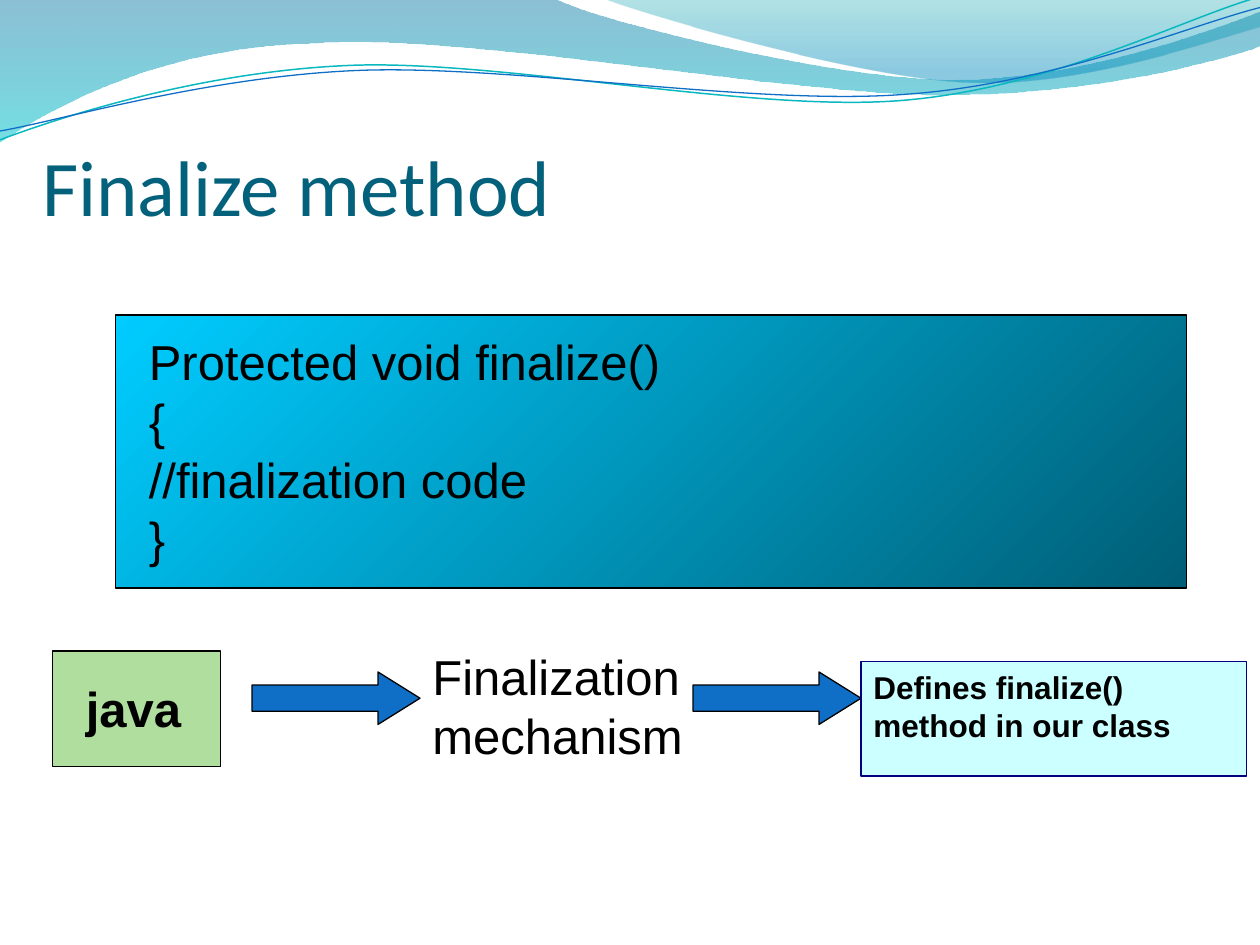
from collections import namedtuple

from lxml.etree import SubElement
from pptx import Presentation
from pptx.dml.color import RGBColor
from pptx.enum.shapes import MSO_SHAPE
from pptx.enum.text import MSO_ANCHOR, PP_ALIGN
from pptx.oxml.ns import qn
from pptx.util import Inches, Pt

SLIDE_WIDTH, SLIDE_HEIGHT = Inches(10), Inches(7.5)
COLUMN, ROW = SLIDE_WIDTH / 120, SLIDE_HEIGHT / 90

BLACK = RGBColor(0x00, 0x00, 0x00)
NAVY = RGBColor(0x00, 0x00, 0x80)
TITLE_TEAL = RGBColor(0x04, 0x61, 0x7B)
ARROW_BLUE = RGBColor(0x0F, 0x6F, 0xC6)
CURVE_TEAL = RGBColor(0x0A, 0xB8, 0xBF)
JAVA_GREEN = RGBColor(0xAF, 0xDE, 0x9E)
PALE_CYAN = RGBColor(0xCC, 0xFF, 0xFF)
CODE_CYAN = RGBColor(0x00, 0xCC, 0xFF)
CODE_DARK = RGBColor(0x00, 0x5E, 0x76)
WAVE_BLUE = RGBColor(0x00, 0x74, 0xA1)
WAVE_AQUA = RGBColor(0x00, 0xC6, 0xCF)
CREST_AQUA = RGBColor(0x00, 0xA1, 0xA9)
CREST_BLUE = RGBColor(0x00, 0x8B, 0xBF)

Box = namedtuple("Box", "column row columns rows")

LARGE_WAVE = [
    [(0, 0)], [(4.4, -0.01)],
    [(4.76, 0.17), (6.64, 0.63), (7.58, 0.63)],
    [(8.53, 0.63), (9.58, 0.26), (10, 0.09)],
    [(10.01, 0.36)],
    [(9.83, 0.44), (8.7, 0.76), (7.46, 0.75)],
    [(6.22, 0.75), (3.82, 0.28), (2.57, 0.34)],
    [(1.29, 0.36), (0.46, 0.83), (-0.01, 1.13)],
    [(0, 0)],
]
CREST = [
    [(4.79, -0.01)],
    [(5.09, 0.11), (6.82, 0.62), (7.69, 0.65)],
    [(8.56, 0.69), (9.61, 0.32), (10, 0.21)],
    [(10, 0)], [(4.79, -0.01)],
]
TEAL_CURVE = [
    [(0, 1.11)],
    [(0.48, 0.93), (1.58, 0.57), (2.77, 0.52)],
    [(3.95, 0.47), (5.93, 0.89), (7.13, 0.8)],
    [(8.33, 0.71), (9.38, 0.15), (9.98, -0.02)],
]
BLUE_CURVE = [
    [(0, 1.04)],
    [(0.47, 0.96), (1.64, 0.61), (2.83, 0.56)],
    [(4.03, 0.51), (5.97, 0.84), (7.17, 0.75)],
    [(8.36, 0.67), (9.41, 0.21), (10, 0.06)],
]


def place(box):
    """Turn a box in grid units into slide lengths."""
    return (round(box.column * COLUMN), round(box.row * ROW),
            round(box.columns * COLUMN), round(box.rows * ROW))


def fill_gradient(shape, stops, angle):
    """Fill a shape with (position, colour, opacity) stops, angle clockwise."""
    shape.fill.gradient()
    shape.fill.gradient_angle = (360 - angle) % 360
    stop_list = shape._element.spPr.find(qn("a:gradFill")).find(qn("a:gsLst"))
    for stop in list(stop_list):
        stop_list.remove(stop)
    for position, color, opacity in stops:
        stop = SubElement(stop_list, qn("a:gs"), pos=str(position * 1000))
        value = SubElement(stop, qn("a:srgbClr"), val=str(color))
        if opacity < 100:
            SubElement(value, qn("a:alpha"), val=str(opacity * 1000))


def add_outline(slide, box, segments, closed):
    """Draw straight and cubic segments given in tenths of the box width."""
    left, top, width, _ = place(box)
    points = [(left + x * width / 10, top + y * width / 10)
              for segment in segments for x, y in segment]
    builder = slide.shapes.build_freeform(*points[0])
    builder.add_line_segments(points[1:], close=closed)
    shape = builder.convert_to_shape()
    shape.shadow.inherit = False
    lines = iter(list(shape._element.spPr.iter(qn("a:lnTo"))))
    for segment in segments[1:]:
        steps = [next(lines) for _ in segment]
        if len(steps) == 3:
            curve = steps[0].makeelement(qn("a:cubicBezTo"))
            steps[0].addprevious(curve)
            for step in steps:
                curve.append(step[0])
                step.getparent().remove(step)
    return shape


def add_waves(slide, box):
    """Draw the wave header across the box."""
    bands = [
        (LARGE_WAVE, [(0, WAVE_BLUE, 45), (100, WAVE_AQUA, 55)]),
        (CREST, [(0, CREST_AQUA, 30), (80, CREST_BLUE, 45)]),
    ]
    for segments, stops in bands:
        band = add_outline(slide, box, segments, True)
        fill_gradient(band, stops, 90)
        band.line.fill.background()
    for segments, color, weight in [(TEAL_CURVE, CURVE_TEAL, 0.85), (BLUE_CURVE, ARROW_BLUE, 0.75)]:
        curve = add_outline(slide, box, segments, False)
        curve.fill.background()
        curve.line.color.rgb = color
        curve.line.width = Pt(weight)


def write(shape, lines, size, bold=False, color=BLACK, font="Arial"):
    """Write lines into one left-aligned paragraph."""
    frame = shape.text_frame
    frame.word_wrap = True
    frame.vertical_anchor = MSO_ANCHOR.TOP
    paragraph = frame.paragraphs[0]
    paragraph.alignment = PP_ALIGN.LEFT
    for index, line in enumerate(lines):
        if index:
            paragraph.add_line_break()
        run = paragraph.add_run()
        run.text = line
        run.font.name = font
        run.font.size = Pt(size)
        run.font.bold = bold
        run.font.color.rgb = color


def add_text(slide, box, lines, size, **style):
    """Add a text box and write lines into it."""
    shape = slide.shapes.add_textbox(*place(box))
    write(shape, lines, size, **style)
    return shape


def add_block(slide, box, fill=None, line=BLACK, kind=MSO_SHAPE.RECTANGLE):
    """Add an outlined preset shape, with a solid fill if one is given."""
    shape = slide.shapes.add_shape(kind, *place(box))
    shape.shadow.inherit = False
    if fill is not None:
        shape.fill.solid()
        shape.fill.fore_color.rgb = fill
    shape.line.color.rgb = line
    shape.line.width = Pt(0.75)
    return shape


def add_title(slide, box):
    """Write the slide title at the bottom of the box."""
    title = add_text(slide, box, ["Finalize method"], 45, color=TITLE_TEAL, font="Calibri")
    frame = title.text_frame
    frame.margin_left = frame.margin_right = frame.margin_bottom = 0
    frame.vertical_anchor = MSO_ANCHOR.BOTTOM


def add_code(slide, box):
    """Draw the code panel with its listing."""
    panel = add_block(slide, box)
    fill_gradient(panel, [(0, CODE_CYAN, 100), (100, CODE_DARK, 100)], 45)
    listing = Box(box.column + 2, box.row + 1, 61, box.rows - 2.4)
    add_text(slide, listing, ["Protected void finalize()", "{", "//finalization code", "}"], 28)


def add_flow(slide, box):
    """Draw the three steps and the arrows between them."""
    left, top = box.column, box.row
    add_block(slide, Box(left, top, 16, 11), JAVA_GREEN)
    add_text(slide, Box(left + 2, top + 2, 12, 6.8), ["java"], 28, bold=True)
    add_text(slide, Box(left + 35, top - 1, 27, 12.4), ["Finalization mechanism"], 28)
    for offset in (19, 61):
        arrow = add_block(slide, Box(left + offset, top + 2, 16, 5),
                          ARROW_BLUE, kind=MSO_SHAPE.RIGHT_ARROW)
        arrow.adjustments[0], arrow.adjustments[1] = 0.5, 0.8
    result = add_block(slide, Box(left + 77, top + 1, box.columns - 77, 10.9), PALE_CYAN, NAVY)
    write(result, ["Defines finalize() method in our class"], 18, bold=True)


def main():
    """Build the slide and save it."""
    presentation = Presentation()
    presentation.slide_width, presentation.slide_height = SLIDE_WIDTH, SLIDE_HEIGHT
    slide = presentation.slides.add_slide(presentation.slide_layouts[6])
    add_waves(slide, Box(0, 0, 120, 14))
    add_title(slide, Box(4, 12, 57, 10.1))
    add_code(slide, Box(11, 30, 102, 26))
    add_flow(slide, Box(5, 62, 113.7, 12))
    presentation.save("out.pptx")


if __name__ == "__main__":
    main()
